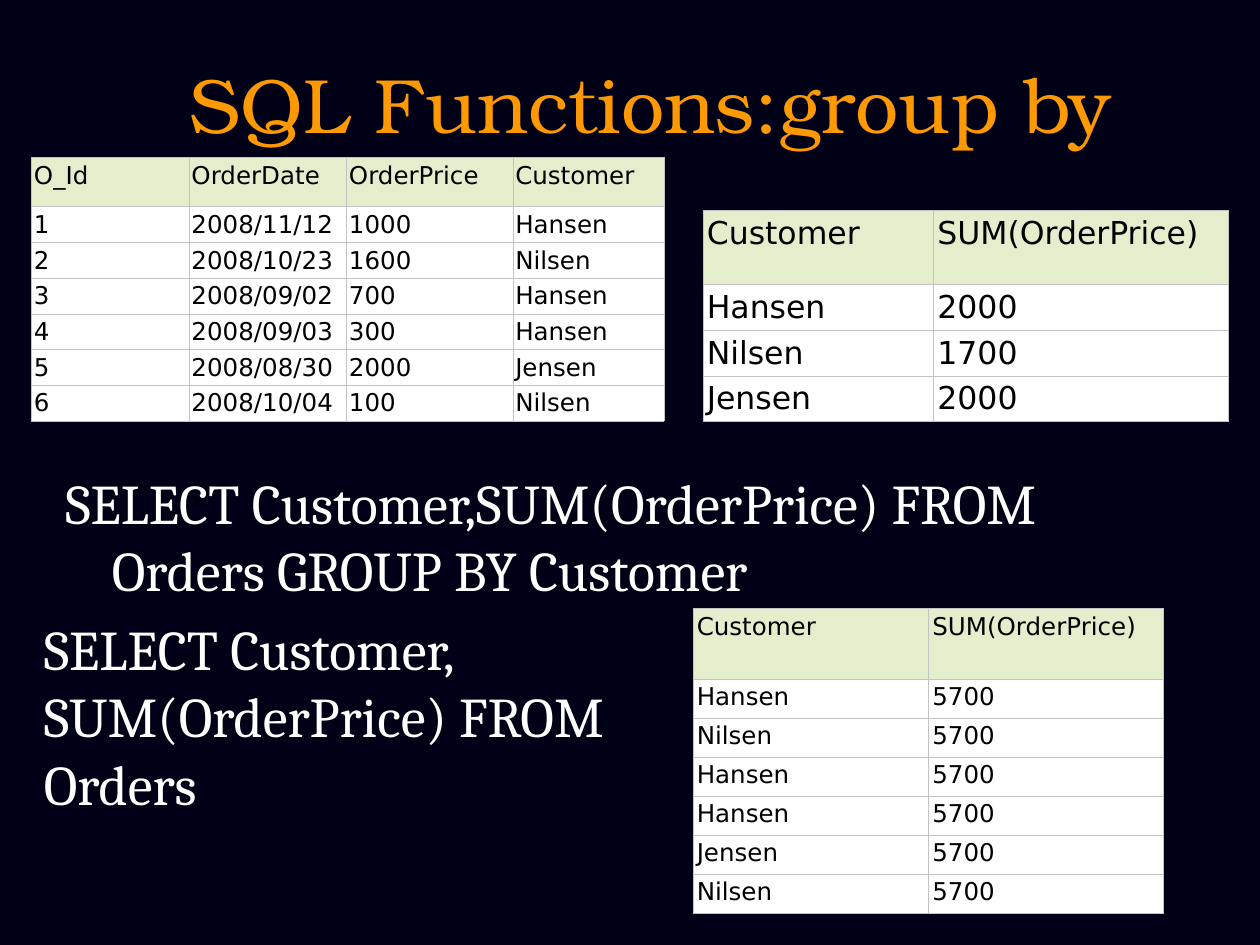
from lxml import etree
from pptx import Presentation
from pptx.dml.color import RGBColor
from pptx.enum.text import MSO_ANCHOR, PP_ALIGN
from pptx.oxml.ns import qn
from pptx.util import Inches, Pt

CENTER = PP_ALIGN.CENTER
LEFT = PP_ALIGN.LEFT
MIDDLE = MSO_ANCHOR.MIDDLE
TOP = MSO_ANCHOR.TOP

NAVY = RGBColor(0x00, 0x00, 0x16)
ORANGE = RGBColor(0xFF, 0x99, 0x00)
WHITE = RGBColor(0xFF, 0xFF, 0xFF)
BLACK = RGBColor(0x00, 0x00, 0x00)
PALE_GREEN = RGBColor(0xE5, 0xEE, 0xCC)
GREY = RGBColor(0xC3, 0xC3, 0xC3)

TITLE_FONT = "TeX Gyre Bonum"
QUERY_FONT = "Cambria"
TABLE_FONT = "DejaVu Sans"

ORDERS = [
    ("O_Id", "OrderDate", "OrderPrice", "Customer"),
    ("1", "2008/11/12", "1000", "Hansen"),
    ("2", "2008/10/23", "1600", "Nilsen"),
    ("3", "2008/09/02", "700", "Hansen"),
    ("4", "2008/09/03", "300", "Hansen"),
    ("5", "2008/08/30", "2000", "Jensen"),
    ("6", "2008/10/04", "100", "Nilsen"),
]
SUM_HEADER = ("Customer", "SUM(OrderPrice)")
GROUPED = [SUM_HEADER, ("Hansen", "2000"), ("Nilsen", "1700"), ("Jensen", "2000")]
UNGROUPED = [SUM_HEADER] + [(order[3], "5700") for order in ORDERS[1:]]


def write_text(frame, text, *, font, size, color, align=LEFT, anchor=TOP,
               line_spacing=None, hanging=None):
    frame.word_wrap = True
    frame.vertical_anchor = anchor
    frame.text = text
    paragraph = frame.paragraphs[0]
    paragraph.alignment = align
    if line_spacing:
        paragraph.line_spacing = line_spacing
    if hanging:
        properties = paragraph._p.get_or_add_pPr()
        properties.set("marL", str(hanging))
        properties.set("indent", str(-hanging))
    run_font = paragraph.runs[0].font
    run_font.name = font
    run_font.size = Pt(size)
    run_font.color.rgb = color


def add_title(slide, box, text):
    title = slide.shapes.title
    title.left, title.top, title.width, title.height = map(Inches, box)
    write_text(title.text_frame, text, font=TITLE_FONT, size=44, color=ORANGE,
               align=CENTER, anchor=MIDDLE)


def add_query(slide, box, text, hanging=None):
    shape = slide.shapes.add_textbox(*map(Inches, box))
    write_text(shape.text_frame, text, font=QUERY_FONT, size=32, color=WHITE,
               hanging=hanging)


def set_borders(cell):
    properties = cell._tc.get_or_add_tcPr()
    for side in ("a:lnL", "a:lnR", "a:lnT", "a:lnB"):
        line = etree.SubElement(properties, qn(side), w=str(Pt(0.34)))
        fill = etree.SubElement(line, qn("a:solidFill"))
        etree.SubElement(fill, qn("a:srgbClr"), val=str(GREY))


def add_data_table(slide, left, top, rows, widths, heights, size, padding, top_padding):
    frame = slide.shapes.add_table(
        len(rows), len(widths), Inches(left), Inches(top),
        Inches(sum(widths)), Inches(sum(heights)))
    table = frame.table
    table.first_row = False
    table.horz_banding = False
    for column, width in zip(table.columns, widths):
        column.width = Inches(width)
    for row_index, (row, height) in enumerate(zip(rows, heights)):
        table.rows[row_index].height = Inches(height)
        for column_index, text in enumerate(row):
            cell = table.cell(row_index, column_index)
            cell.margin_left = cell.margin_right = cell.margin_bottom = Inches(padding)
            cell.margin_top = Inches(top_padding)
            set_borders(cell)
            cell.fill.solid()
            cell.fill.fore_color.rgb = WHITE if row_index else PALE_GREEN
            write_text(cell.text_frame, text, font=TABLE_FONT, size=size,
                       color=BLACK, line_spacing=0.94)


def main():
    presentation = Presentation()
    presentation.slide_width = Inches(10)
    presentation.slide_height = Inches(7.5)
    slide = presentation.slides.add_slide(presentation.slide_layouts[5])
    slide.background.fill.solid()
    slide.background.fill.fore_color.rgb = NAVY

    add_title(slide, (0.75, 0.3, 8.83, 1.03), "SQL Functions:group by")
    add_query(slide, (0.42, 3.67, 8.5, 1.25),
              "SELECT Customer,SUM(OrderPrice) FROM Orders GROUP BY Customer",
              hanging=Inches(0.37))
    add_data_table(slide, 0.25, 1.25, ORDERS, [1.25, 1.25, 1.32, 1.2],
                   [0.39] + [0.285] * 3 + [0.27] + [0.285] * 2, 14, 0.02, 0.04)
    add_data_table(slide, 5.58, 1.67, GROUPED, [1.83, 2.34],
                   [0.59] + [0.36] * 3, 18, 0.03, 0.05)
    add_data_table(slide, 5.5, 4.83, UNGROUPED, [1.87, 1.86],
                   [0.56] + [0.31] * 6, 14, 0.03, 0.04)
    add_query(slide, (0.25, 4.83, 5, 1.72),
              "SELECT Customer, SUM(OrderPrice) FROM Orders")
    presentation.save("out.pptx")


if __name__ == "__main__":
    main()
